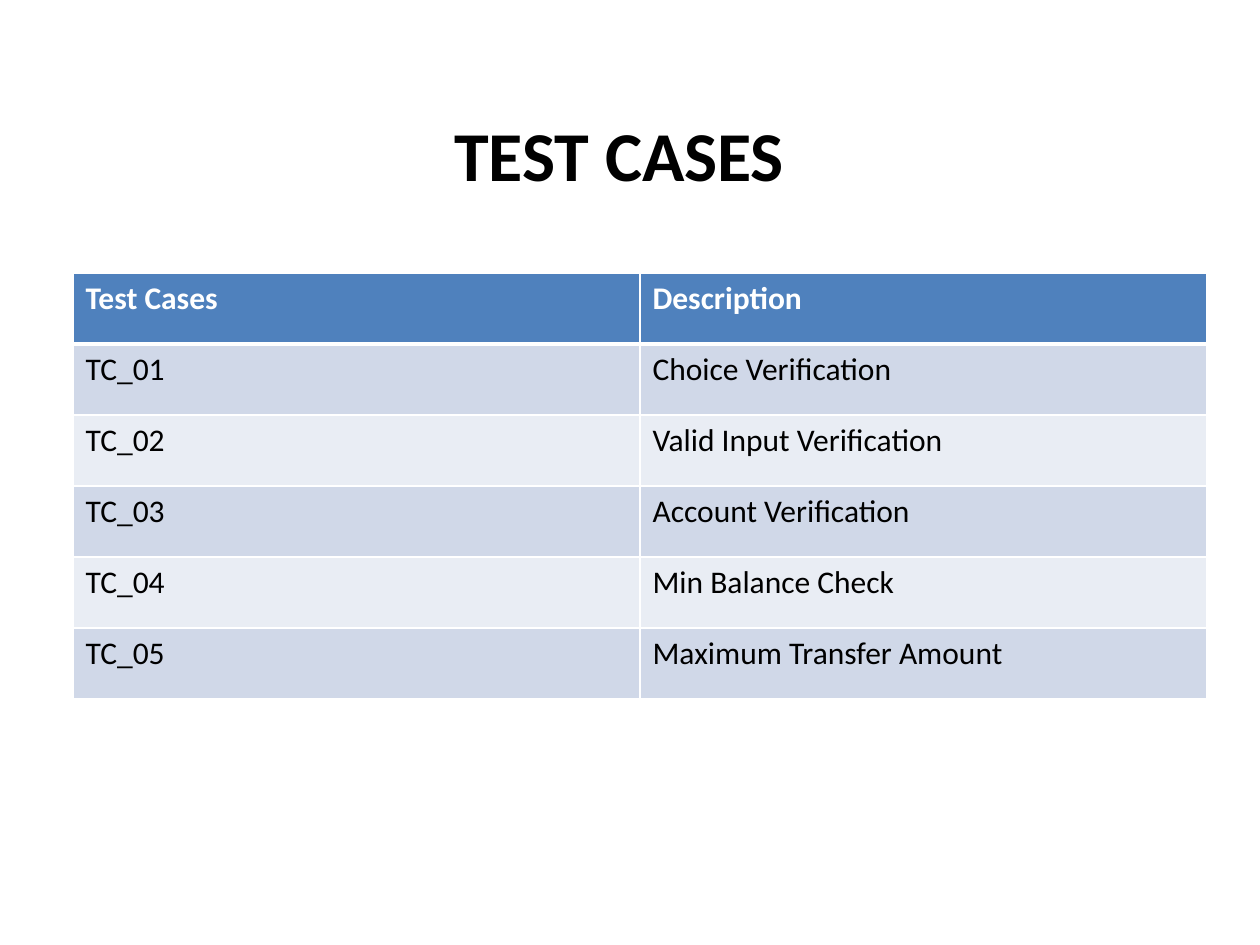
from dataclasses import dataclass

from lxml import etree
from pptx import Presentation
from pptx.dml.color import RGBColor
from pptx.enum.text import MSO_AUTO_SIZE, PP_ALIGN
from pptx.oxml.ns import qn
from pptx.util import Emu, Pt

CENTER = PP_ALIGN.CENTER
GROW = MSO_AUTO_SIZE.SHAPE_TO_FIT_TEXT
PX = 914400 // 126
FONT = "Calibri"
COLORS = {
    "head": "4F81BD",
    "odd": "D0D8E8",
    "even": "E9EDF4",
    "white": "FFFFFF",
    "black": "000000",
}


@dataclass
class Box:
    left: int
    top: int
    width: int
    height: int

    def emu(self) -> list[Emu]:
        return [Emu(n * PX) for n in (self.left, self.top, self.width, self.height)]


@dataclass
class Case:
    code: str
    text: str


TITLE = Box(409, 105, 420, 97)
GRID = Box(73, 273, 1134, 426)
HEAD = Case("Test Cases", "Description")
CASES = [
    Case("TC_01", "Choice Verification"),
    Case("TC_02", "Valid Input Verification"),
    Case("TC_03", "Account Verification"),
    Case("TC_04", "Min Balance Check"),
    Case("TC_05", "Maximum Transfer Amount"),
]


def style(frame, size: int, color: str, bold: bool) -> None:
    for run in frame.paragraphs[0].runs:
        font = run.font
        font.name, font.size, font.bold = FONT, Pt(size), bold
        font.color.rgb = RGBColor.from_string(COLORS[color])


def edge(cell, top: int, bottom: int) -> None:
    """Draw white cell borders; widths are in points."""
    props = cell._tc.get_or_add_tcPr()
    widths = {"a:lnL": 1, "a:lnR": 1, "a:lnT": top, "a:lnB": bottom}
    for spot, (tag, width) in enumerate(widths.items()):
        line = etree.Element(qn(tag), w=str(Pt(width)))
        fill = etree.SubElement(line, qn("a:solidFill"))
        etree.SubElement(fill, qn("a:srgbClr"), val=COLORS["white"])
        props.insert(spot, line)  # borders come before the fill


def draw_title(slide, box: Box, text: str) -> None:
    frame = slide.shapes.add_textbox(*box.emu()).text_frame
    frame.word_wrap = True
    frame.auto_size = GROW
    frame.text = text
    frame.paragraphs[0].alignment = CENTER
    style(frame, 40, "black", True)


def draw_table(slide, box: Box, rows: list[Case]) -> None:
    table = slide.shapes.add_table(len(rows), 2, *box.emu()).table
    for r, case in enumerate(rows):
        head = r == 0
        band = "head" if head else "odd" if r % 2 else "even"
        for c, text in enumerate((case.code, case.text)):
            cell = table.cell(r, c)
            cell.fill.solid()
            cell.fill.fore_color.rgb = RGBColor.from_string(COLORS[band])
            edge(cell, top=3 if r == 1 else 1, bottom=3 if head else 1)
            cell.text_frame.text = text
            style(cell.text_frame, 18, "white" if head else "black", head)


def main() -> None:
    deck = Presentation()
    deck.slide_width, deck.slide_height = Emu(1260 * PX), Emu(945 * PX)
    slide = deck.slides.add_slide(deck.slide_layouts[6])
    # Table of test cases
    draw_table(slide, GRID, [HEAD] + CASES)
    # Heading
    draw_title(slide, TITLE, "TEST CASES")
    deck.save("out.pptx")


if __name__ == "__main__":
    main()
